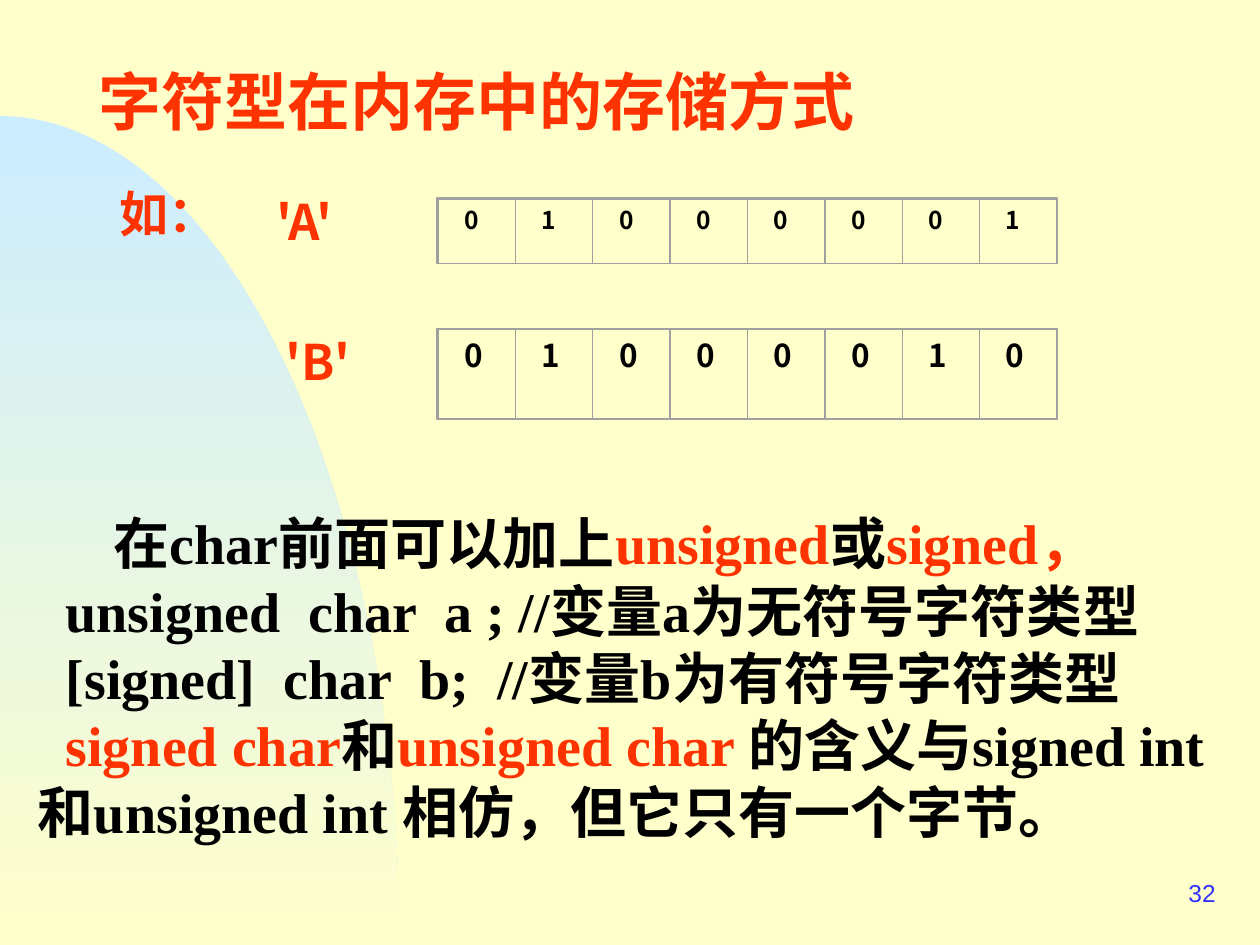
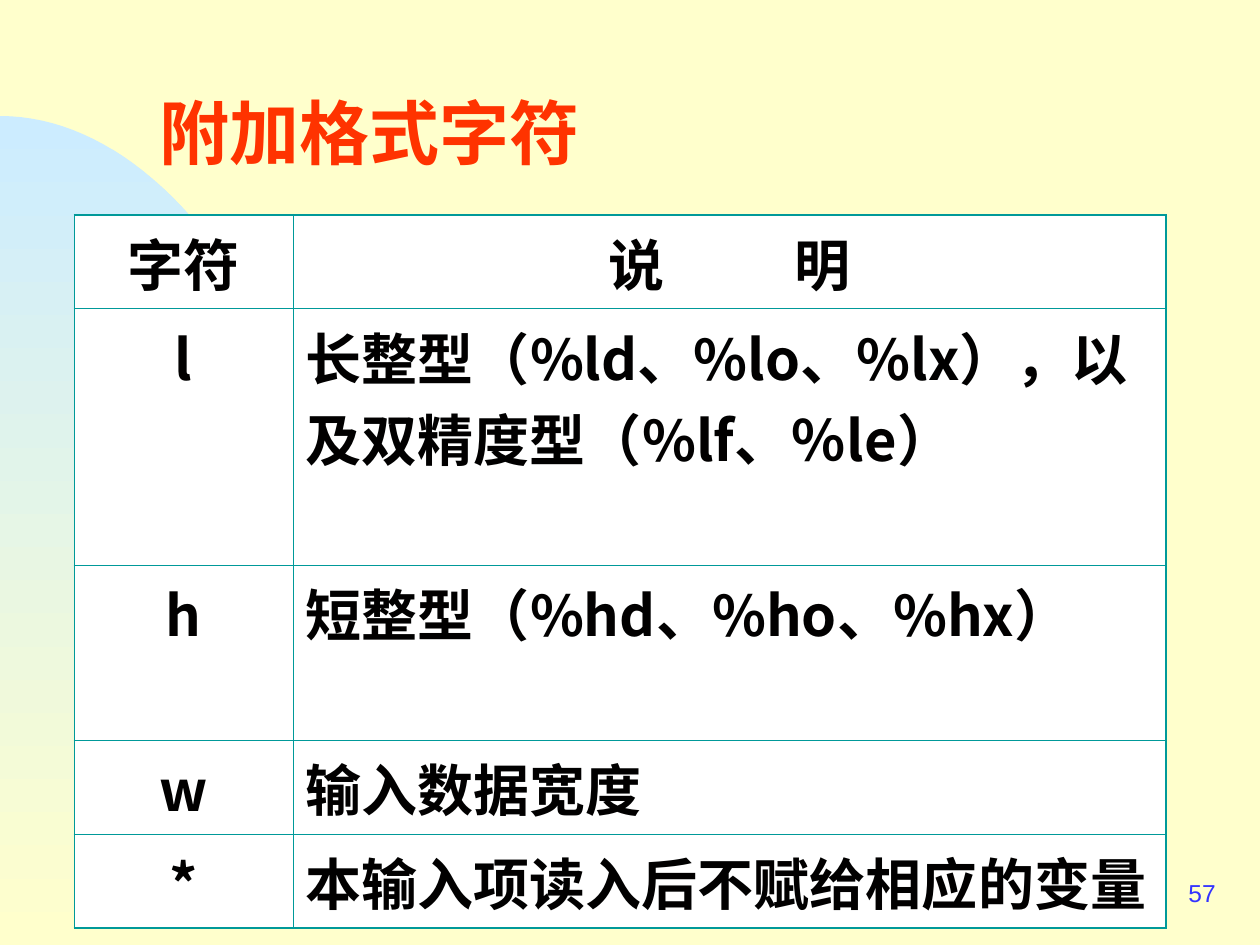
import math

from lxml import etree
from pptx import Presentation
from pptx.dml.color import RGBColor
from pptx.enum.shapes import MSO_SHAPE
from pptx.enum.text import MSO_ANCHOR, MSO_AUTO_SIZE, PP_ALIGN
from pptx.oxml.ns import qn
from pptx.util import Cm, Pt

LEFT, CENTER, RIGHT = PP_ALIGN.LEFT, PP_ALIGN.CENTER, PP_ALIGN.RIGHT
TOP, MIDDLE = MSO_ANCHOR.TOP, MSO_ANCHOR.MIDDLE
RECTANGLE = MSO_SHAPE.RECTANGLE

CREAM = RGBColor(0xFF, 0xFF, 0xCC)
SKY = RGBColor(0xCC, 0xEC, 0xFF)
RED = RGBColor(0xFF, 0x33, 0x00)
INK = RGBColor(0x01, 0x00, 0x00)
BLUE = RGBColor(0x33, 0x33, 0xFF)
GRAY = RGBColor(0xA0, 0xA0, 0xA0)
TEAL = RGBColor(0x00, 0x99, 0x99)
WHITE = RGBColor(0xFF, 0xFF, 0xFF)

HAN, SERIF, SANS = "Noto Sans CJK SC", "Times New Roman", "Arial"

STORAGE_TITLE = "字符型在内存中的存储方式"
STORAGE_PAGE = "32"
# text, left, top, width in cm
LABELS = [
    ("如：", 2.17, 3.58, 3.18),
    ("'A'", 5.33, 3.73, 2.67),
    ("'B'", 5.51, 6.55, 2.29),
]
# bits, top and height in cm, text size
BYTES = [
    ("01000001", 4.01, 1.3, 14),
    ("01000010", 6.65, 1.8, 18),
]
# first-line indent in cm, coloured pieces
EXPLANATION = [
    (1.53, [("在char前面可以加上", INK), ("unsigned", RED), ("或", INK), ("signed，", RED)]),
    (0.56, [("unsigned  char  a ; //变量a为无符号字符类型", INK)]),
    (0.56, [("[signed]  char  b;  //变量b为有符号字符类型", INK)]),
    (0.56, [("signed char", RED), ("和", INK), ("unsigned char ", RED),
            ("的含义与signed int 和unsigned int 相仿，但它只有一个字节。", INK)]),
]

FORMAT_TITLE = "附加格式字符"
FORMAT_PAGE = "57"
FORMAT_ROWS = [
    ("字符", "说明"),
    ("l", "长整型（%ld、%lo、%lx），以及双精度型（%lf、％le）"),
    ("h", "短整型（%hd、%ho、%hx）"),
    ("w", "输入数据宽度"),
    ("*", "本输入项读入后不赋给相应的变量"),
]
COLUMN_WIDTHS = [4.41, 17.6]
ROW_HEIGHTS = [1.63, 2.97, 1.63, 1.63, 1.63]
HEADING_GAP = 74  # points between the two characters of the heading


def box(left, top, width, height):
    return Cm(left), Cm(top), Cm(width), Cm(height)


def style_run(run, size, color, latin=HAN, bold=True):
    font = run.font
    font.size, font.bold, font.name = Pt(size), bold, latin
    font.color.rgb = color
    etree.SubElement(run._r.get_or_add_rPr(), qn("a:ea")).set("typeface", HAN)


def write(frame, text, size, color, align=LEFT, anchor=TOP, latin=HAN, bold=True):
    frame.word_wrap = True
    frame.auto_size = MSO_AUTO_SIZE.NONE
    frame.vertical_anchor = anchor
    frame.text = text
    paragraph = frame.paragraphs[0]
    paragraph.alignment = align
    style_run(paragraph.runs[0], size, color, latin, bold)


def place(shape, area):
    shape.left, shape.top, shape.width, shape.height = area


def add_wave(master, slide):
    """Draw the quarter ellipse and put it behind everything on the master."""
    bottom, radius_x, radius_y = 19.05, 8.05, 16.71
    steps = 60
    angles = [math.pi / 2 * i / steps for i in range(steps + 1)]
    arc = [(Cm(radius_x * math.sin(a)), Cm(bottom - radius_y * math.cos(a))) for a in angles]
    builder = slide.shapes.build_freeform(*arc[0])
    builder.add_line_segments(arc[1:] + [(0, Cm(bottom))], close=True)
    wave = builder.convert_to_shape()
    wave.shadow.inherit = False
    wave.line.fill.background()
    wave.fill.gradient()
    wave.fill.gradient_angle = 270
    for stop, color, position in zip(wave.fill.gradient_stops, (SKY, CREAM), (0, 1)):
        stop.color.rgb = color
        stop.position = position
    master.shapes._spTree.insert(2, wave._element)


def add_slide(deck, layout, title, title_area, title_size, page):
    slide = deck.slides.add_slide(deck.slide_layouts[layout])
    place(slide.shapes.title, title_area)
    write(slide.shapes.title.text_frame, title, title_size, RED, anchor=MIDDLE)
    number = slide.shapes.add_textbox(*box(19.48, 17.36, 5.28, 1.27))
    write(number.text_frame, page, 14, BLUE, RIGHT, MIDDLE, SANS, bold=False)
    return slide


def add_rectangle(slide, area, line_width):
    rectangle = slide.shapes.add_shape(RECTANGLE, *area)
    rectangle.shadow.inherit = False
    rectangle.fill.background()
    rectangle.line.color.rgb = GRAY
    rectangle.line.width = Pt(line_width)
    return rectangle


def add_byte(slide, bits, top, height, size):
    left, width = 8.83, 1.56
    for i, bit in enumerate(bits):
        cell = add_rectangle(slide, box(left + i * width, top, width, height), 0)
        frame = cell.text_frame
        write(frame, bit, size, INK)
        frame.margin_left, frame.margin_right = Cm(0.53), 0
    add_rectangle(slide, box(left - 0.02, top - 0.02, len(bits) * width + 0.02, height + 0.03), 0.75)


def add_explanation(slide):
    body = slide.placeholders[1]
    place(body, box(0.51, 10.13, 24.31, 8.38))
    frame = body.text_frame
    frame.auto_size = MSO_AUTO_SIZE.NONE
    for i, (indent, pieces) in enumerate(EXPLANATION):
        paragraph = frame.add_paragraph() if i else frame.paragraphs[0]
        properties = paragraph._p.get_or_add_pPr()
        properties.set("marL", "0")
        properties.set("indent", str(Cm(indent)))
        etree.SubElement(properties, qn("a:buNone"))
        paragraph.space_before = Pt(0)
        paragraph.line_spacing = Pt(38.4)
        for text, color in pieces:
            run = paragraph.add_run()
            run.text = text
            style_run(run, 32, color, SERIF)


def set_borders(cell, widths):
    """Set the left, right, top and bottom lines, widths in points."""
    properties = cell._tc.get_or_add_tcPr()
    for i, (side, width) in enumerate(zip("LRTB", widths)):
        line = etree.Element(qn(f"a:ln{side}"), w=str(Pt(width)))
        fill = etree.SubElement(line, qn("a:solidFill"))
        etree.SubElement(fill, qn("a:srgbClr"), val=str(TEAL))
        properties.insert(i, line)


def add_format_table(slide):
    rows, columns = len(FORMAT_ROWS), len(COLUMN_WIDTHS)
    area = box(1.5, 4.33, sum(COLUMN_WIDTHS), sum(ROW_HEIGHTS))
    table = slide.shapes.add_table(rows, columns, *area).table
    table.first_row = table.horz_banding = False
    for column, width in zip(table.columns, COLUMN_WIDTHS):
        column.width = Cm(width)
    for r, (texts, height) in enumerate(zip(FORMAT_ROWS, ROW_HEIGHTS)):
        table.rows[r].height = Cm(height)
        for c, text in enumerate(texts):
            cell = table.cell(r, c)
            cell.fill.solid()
            cell.fill.fore_color.rgb = WHITE
            outer = (c == 0, c == columns - 1, r == 0, r == rows - 1)
            set_borders(cell, [1.08 if edge else 0.45 for edge in outer])
            cell.text_frame.text = text
            paragraph = cell.text_frame.paragraphs[0]
            paragraph.alignment = CENTER if r == 0 or c == 0 else LEFT
            paragraph.space_before = Pt(8)
            # Keep closing punctuation inside the cell margin
            paragraph._p.get_or_add_pPr().set("hangingPunct", "0")
            style_run(paragraph.runs[0], 32, INK)
    spread_heading(table.cell(0, 1).text_frame.paragraphs[0])


def spread_heading(paragraph):
    """Open a wide gap after the first character by letter spacing."""
    first = paragraph.runs[0]
    last = paragraph.add_run()
    first.text, last.text = first.text[0], first.text[1:]
    style_run(last, 32, INK)
    first._r.get_or_add_rPr().set("spc", str(HEADING_GAP * 100))


def main():
    deck = Presentation()
    deck.slide_width, deck.slide_height = Cm(25.4), Cm(19.05)
    master = deck.slide_master
    master.background.fill.solid()
    master.background.fill.fore_color.rgb = CREAM

    storage = add_slide(deck, 1, STORAGE_TITLE, box(1.73, 1.14, 17.5, 1.78), 36, STORAGE_PAGE)
    add_wave(master, storage)
    for text, left, top, width in LABELS:
        label = storage.shapes.add_textbox(*box(left, top, width, 1.45))
        write(label.text_frame, text, 28, RED)
    for byte in BYTES:
        add_byte(storage, *byte)
    add_explanation(storage)

    formats = add_slide(deck, 5, FORMAT_TITLE, box(2.97, 1.07, 21.16, 3.18), 40, FORMAT_PAGE)
    add_format_table(formats)

    deck.save("out.pptx")


if __name__ == "__main__":
    main()
